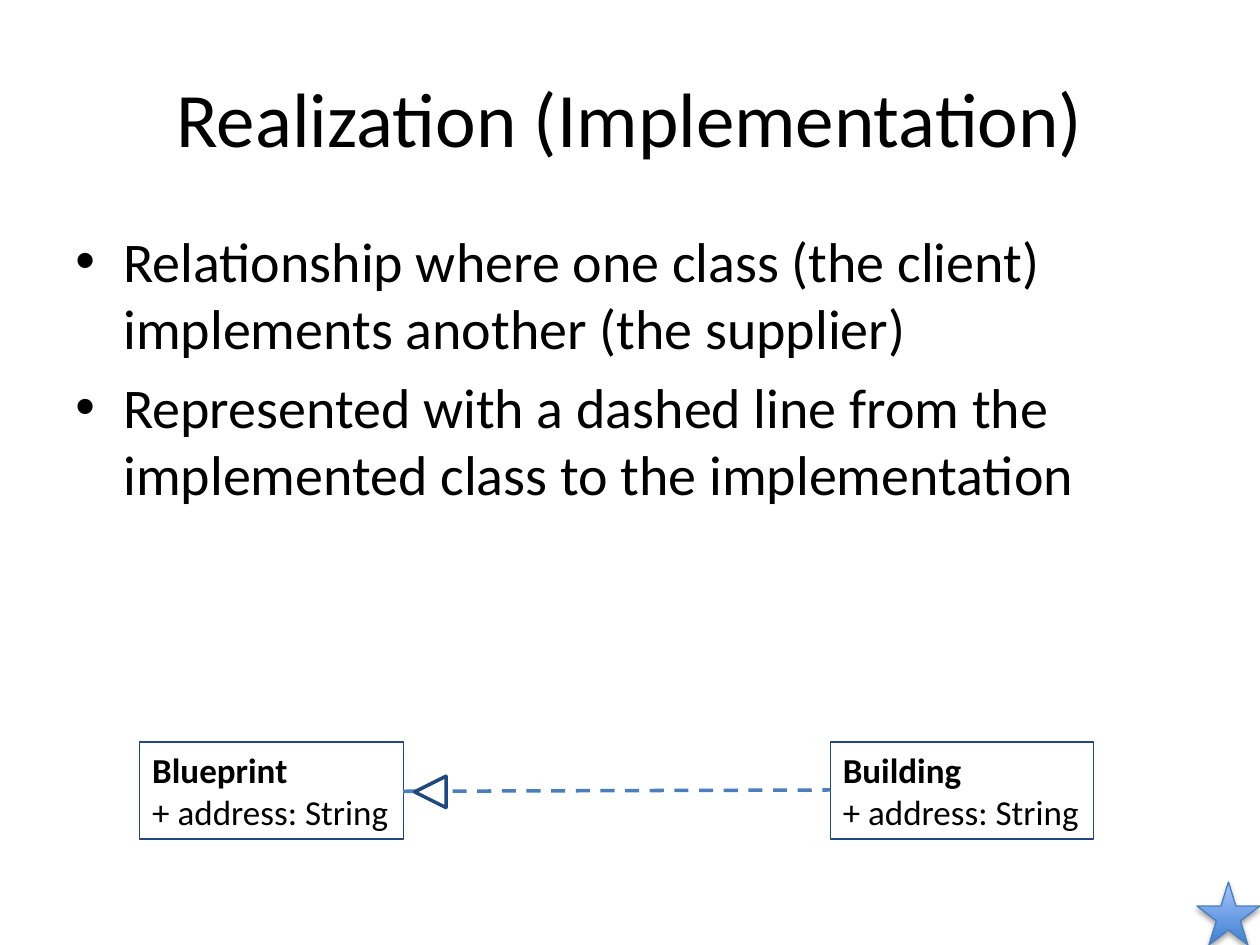
from lxml.etree import SubElement
from pptx import Presentation
from pptx.dml.color import RGBColor
from pptx.enum.dml import MSO_LINE
from pptx.enum.shapes import MSO_CONNECTOR, MSO_SHAPE
from pptx.enum.text import MSO_ANCHOR, MSO_AUTO_SIZE, PP_ALIGN
from pptx.oxml import parse_xml
from pptx.oxml.ns import nsdecls, qn
from pptx.util import Inches, Pt

TITLE = "Realization (Implementation)"
BULLETS = [
    "Relationship where one class (the client) implements another (the supplier)",
    "Represented with a dashed line from the implemented class to the implementation",
]
# class name, attribute, left, top
CLASSES = [
    ("Building", "+ address: String", 6.59, 5.89),
    ("Blueprint", "+ address: String", 1.11, 5.89),
]
CLASS_SIZE = (2.09, 0.77)
COLORS = {
    "text": "000000",
    "white": "FFFFFF",
    "outline": "1F497D",
    "accent": "4B7EBC",
    "star_dark": "3F80CE",
    "star_light": "A4C4FF",
}
FONT = "Calibri"


def color(name):
    return RGBColor.from_string(COLORS[name])


def add_text(paragraph, text, size, bold=False):
    run = paragraph.add_run()
    run.text = text
    run.font.color.rgb = color("text")
    for name, value in {"name": FONT, "size": Pt(size), "bold": bold}.items():
        setattr(run.font, name, value)


def set_line(shape, color_name, width):
    shape.line.color.rgb = color(color_name)
    shape.line.width = Pt(width)


def add_outlined(slide, kind, box, outline, width):
    """Add a white preset shape with a coloured outline and no shadow."""
    shape = slide.shapes.add_shape(kind, *map(Inches, box))
    shape.shadow.inherit = False
    shape.fill.solid()
    shape.fill.fore_color.rgb = color("white")
    set_line(shape, outline, width)
    return shape


def add_title(slide):
    title = slide.shapes.title
    box = {"left": 0.5, "top": 0.3, "width": 9, "height": 1.25}
    for name, value in box.items():
        setattr(title, name, Inches(value))
    title.text_frame.vertical_anchor = MSO_ANCHOR.MIDDLE
    paragraph = title.text_frame.paragraphs[0]
    paragraph.alignment = PP_ALIGN.CENTER
    add_text(paragraph, TITLE, 44)


def add_bullets(slide):
    body = slide.shapes.add_textbox(*map(Inches, (0.5, 1.75, 9, 3.95)))
    frame = body.text_frame
    frame.word_wrap = True
    for index, text in enumerate(BULLETS):
        paragraph = frame.add_paragraph() if index else frame.paragraphs[0]
        paragraph.space_before = Pt(6.4)
        add_text(paragraph, text, 32)
        properties = paragraph._p.get_or_add_pPr()
        properties.set("marL", str(Inches(0.38)))
        properties.set("indent", str(Inches(-0.38)))
        SubElement(properties, qn("a:buFont"), typeface="Arial")
        SubElement(properties, qn("a:buChar"), char="•")


def add_class(slide, name, attribute, left, top):
    shape = add_outlined(slide, MSO_SHAPE.RECTANGLE, (left, top, *CLASS_SIZE), "outline", 0.75)
    frame = shape.text_frame
    settings = {
        "word_wrap": False,
        "auto_size": MSO_AUTO_SIZE.SHAPE_TO_FIT_TEXT,
        "vertical_anchor": MSO_ANCHOR.TOP,
    }
    for setting, value in settings.items():
        setattr(frame, setting, value)
    for paragraph, text, bold in (
        (frame.paragraphs[0], name, True),
        (frame.add_paragraph(), attribute, False),
    ):
        paragraph.alignment = PP_ALIGN.LEFT
        add_text(paragraph, text, 20, bold)


def add_realization(slide):
    """Join the classes with a dashed line and a hollow arrowhead."""
    ends = map(Inches, (3.2, 6.28, 6.59, 6.27))
    connector = slide.shapes.add_connector(MSO_CONNECTOR.STRAIGHT, *ends)
    set_line(connector, "accent", 2)
    connector.line.dash_style = MSO_LINE.DASH
    SubElement(connector._element.spPr, qn("a:effectLst"))
    head = add_outlined(
        slide, MSO_SHAPE.ISOSCELES_TRIANGLE, (3.29, 6.16, 0.25, 0.25), "outline", 2
    )
    head.rotation = 270


def add_star(slide):
    star = slide.shapes.add_shape(MSO_SHAPE.STAR_5_POINT, *map(Inches, (9.5, 7, 0.5, 0.5)))
    star.fill.gradient()
    star.fill.gradient_angle = 90
    for stop, name in zip(star.fill.gradient_stops, ("star_dark", "star_light")):
        stop.color.rgb = color(name)
    for stop, position in zip(star.fill.gradient_stops, (0, 1)):
        stop.position = position
    set_line(star, "accent", 0.75)
    star._element.spPr.append(parse_xml(
        f'<a:effectLst {nsdecls("a")}>'
        f'<a:outerShdw blurRad="{Pt(3.1)}" dist="{Pt(1.8)}" dir="5400000" rotWithShape="0">'
        f'<a:srgbClr val="{COLORS["text"]}"><a:alpha val="35000"/></a:srgbClr>'
        "</a:outerShdw></a:effectLst>"
    ))


def main():
    presentation = Presentation()
    presentation.slide_width = Inches(10)
    presentation.slide_height = Inches(7.5)
    slide = presentation.slides.add_slide(presentation.slide_layouts[5])
    add_title(slide)
    add_bullets(slide)
    for entry in CLASSES:
        add_class(slide, *entry)
    add_realization(slide)
    add_star(slide)
    presentation.save("out.pptx")


if __name__ == "__main__":
    main()
